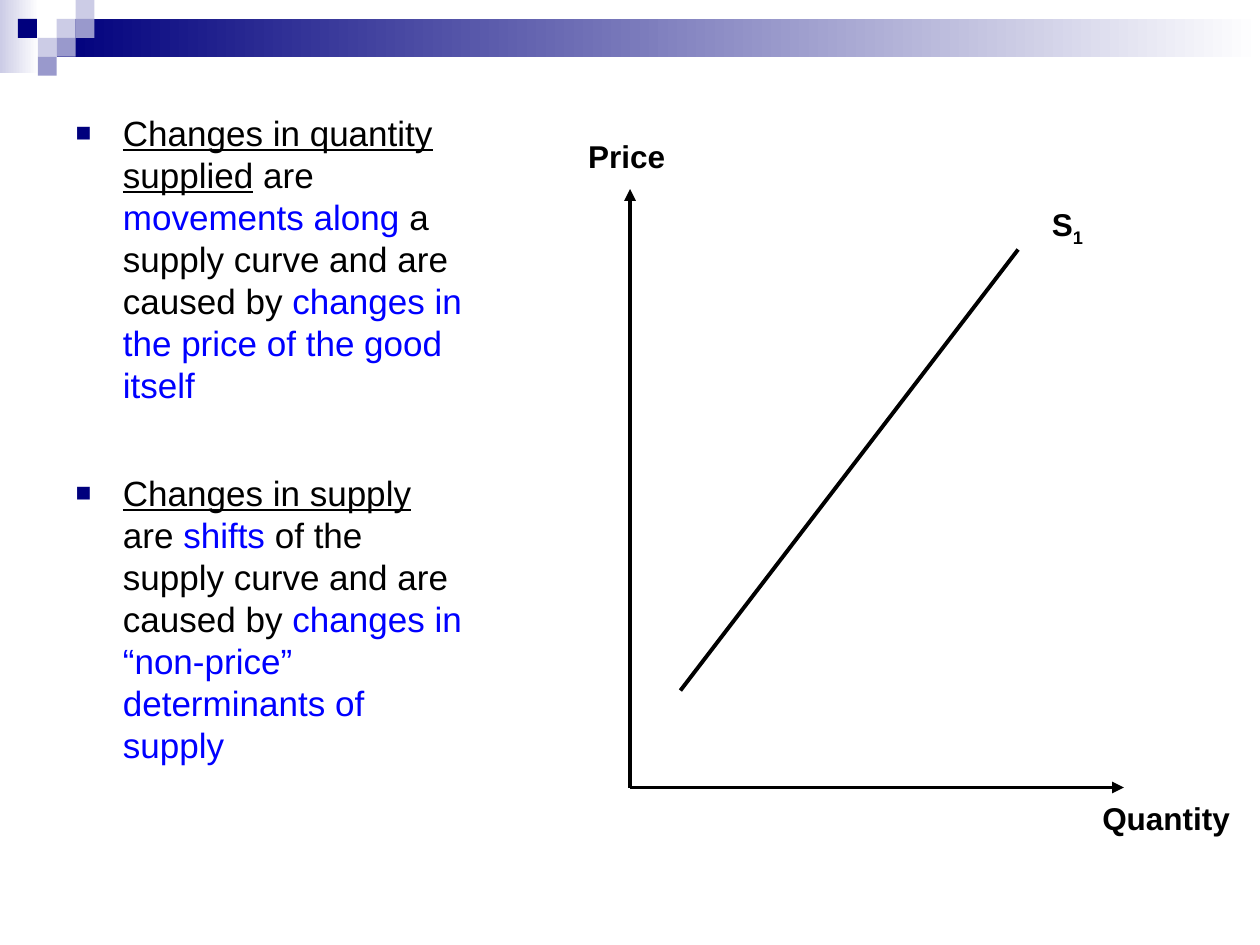
from lxml.etree import SubElement
from pptx import Presentation
from pptx.dml.color import RGBColor
from pptx.enum.shapes import MSO_CONNECTOR, MSO_SHAPE
from pptx.enum.text import MSO_ANCHOR, MSO_AUTO_SIZE
from pptx.oxml.ns import qn
from pptx.util import Pt

NAVY, LAVENDER, PERIWINKLE = "00007D", "CCCCE6", "9999CC"
BLACK, BLUE, WHITE = "000000", "0000FF", "FFFFFF"

BULLETS = [
    [("Changes in quantity supplied", BLACK, True), (" are ", BLACK, False),
     ("movements along ", BLUE, False),
     ("a supply curve and are caused by ", BLACK, False),
     ("changes in the price of the good itself", BLUE, False)],
    [("Changes in supply", BLACK, True), (" are ", BLACK, False),
     ("shifts", BLUE, False),
     (" of the supply curve and are caused by ", BLACK, False),
     ("changes in “non-price” determinants of supply", BLUE, False)],
]


def color(value):
    return RGBColor.from_string(value)


def format_run(run, size, value, bold=False, underline=False):
    font = run.font
    font.name, font.size, font.bold = "Arial", Pt(size), bold
    font.underline = underline
    font.color.rgb = color(value)


def add_block(slide, left, top, width, height, start, end=None):
    shape = slide.shapes.add_shape(MSO_SHAPE.RECTANGLE, Pt(left), Pt(top), Pt(width), Pt(height))
    shape.shadow.inherit = False
    shape.line.fill.background()
    if end:
        shape.fill.gradient()
        shape.fill.gradient_angle = 0
        for stop, value, position in zip(shape.fill.gradient_stops, (start, end), (0, 1)):
            stop.color.rgb = color(value)
            stop.position = position
    else:
        shape.fill.solid()
        shape.fill.fore_color.rgb = color(start)


def add_header(slide, width, unit):
    add_block(slide, 0, 0, 22.3, 41.8, LAVENDER, WHITE)
    add_block(slide, 3 * unit, 13.7 - 2.9, width - 3 * unit, 2 * unit, NAVY, WHITE)
    squares = [(3, 1, LAVENDER), (4, 0, LAVENDER), (4, 1, PERIWINKLE), (2, 2, LAVENDER),
               (0.95, 1, NAVY), (3, 2, PERIWINKLE), (2, 3, PERIWINKLE)]
    for column, row, value in squares:
        add_block(slide, column * unit, row * unit, unit, unit, value)


def add_bullet(paragraph):
    properties = paragraph._p.get_or_add_pPr()
    properties.set("marL", str(Pt(27)))
    properties.set("indent", str(-Pt(27)))
    bullet_color = SubElement(properties, qn("a:buClr"))
    SubElement(bullet_color, qn("a:srgbClr"), val=NAVY)
    SubElement(properties, qn("a:buSzPct"), val="75000")
    SubElement(properties, qn("a:buFont"), typeface="Arial")
    SubElement(properties, qn("a:buChar"), char="■")


def fill_body(body, left, top, width, height):
    body.left, body.top, body.width, body.height = Pt(left), Pt(top), Pt(width), Pt(height)
    frame = body.text_frame
    frame.auto_size = MSO_AUTO_SIZE.NONE
    frame.vertical_anchor = MSO_ANCHOR.TOP
    for index, parts in enumerate(BULLETS):
        paragraph = frame.add_paragraph() if index else frame.paragraphs[0]
        paragraph.line_spacing = Pt(24)
        paragraph.space_before = Pt(37.7 if index else 0)
        add_bullet(paragraph)
        for text, value, underline in parts:
            run = paragraph.add_run()
            run.text = text
            format_run(run, 20, value, underline=underline)


def add_line(slide, start, end, arrow=False):
    points = [Pt(value) for value in (*start, *end)]
    connector = slide.shapes.add_connector(MSO_CONNECTOR.STRAIGHT, *points)
    connector.line.color.rgb = color(BLACK)
    connector.line.width = Pt(2.25)
    if arrow:
        SubElement(connector.line._get_or_add_ln(), qn("a:tailEnd"), type="triangle")
    SubElement(connector._element.spPr, qn("a:effectLst"))


def add_label(slide, left, top, width, text, subscript=""):
    box = slide.shapes.add_textbox(Pt(left), Pt(top), Pt(width), Pt(28.8))
    box.text_frame.word_wrap = False
    paragraph = box.text_frame.paragraphs[0]
    paragraph.text = text
    if subscript:
        run = paragraph.add_run()
        run.text = subscript
        run.font._element.set("baseline", "-25000")
    for run in paragraph.runs:
        format_run(run, 18, BLACK, bold=True)


def add_supply_graph(slide, left, top, width, height):
    bottom = top + height
    origin = (left, bottom)
    add_line(slide, origin, (left, top), arrow=True)
    add_line(slide, origin, (left + width, bottom), arrow=True)
    add_line(slide, (left + 28.8, bottom - 55.4), (left + 221.8, top + 34.6))
    add_label(slide, left - 31, top - 33, 59, "Price")
    add_label(slide, left + width - 19.4, bottom + 3, 88.6, "Quantity")
    add_label(slide, left + 234, top + 5.8, 33, "S", "1")


def main():
    presentation = Presentation()
    presentation.slide_width, presentation.slide_height = Pt(720), Pt(540)
    slide = presentation.slides.add_slide(presentation.slide_layouts[1])
    title = slide.shapes.title._element
    title.getparent().remove(title)
    add_header(slide, 720, 10.8)
    fill_body(slide.placeholders[1], 36, 60, 240, 444)
    add_supply_graph(slide, 360, 108, 282.2, 342)
    presentation.save("out.pptx")


if __name__ == "__main__":
    main()
